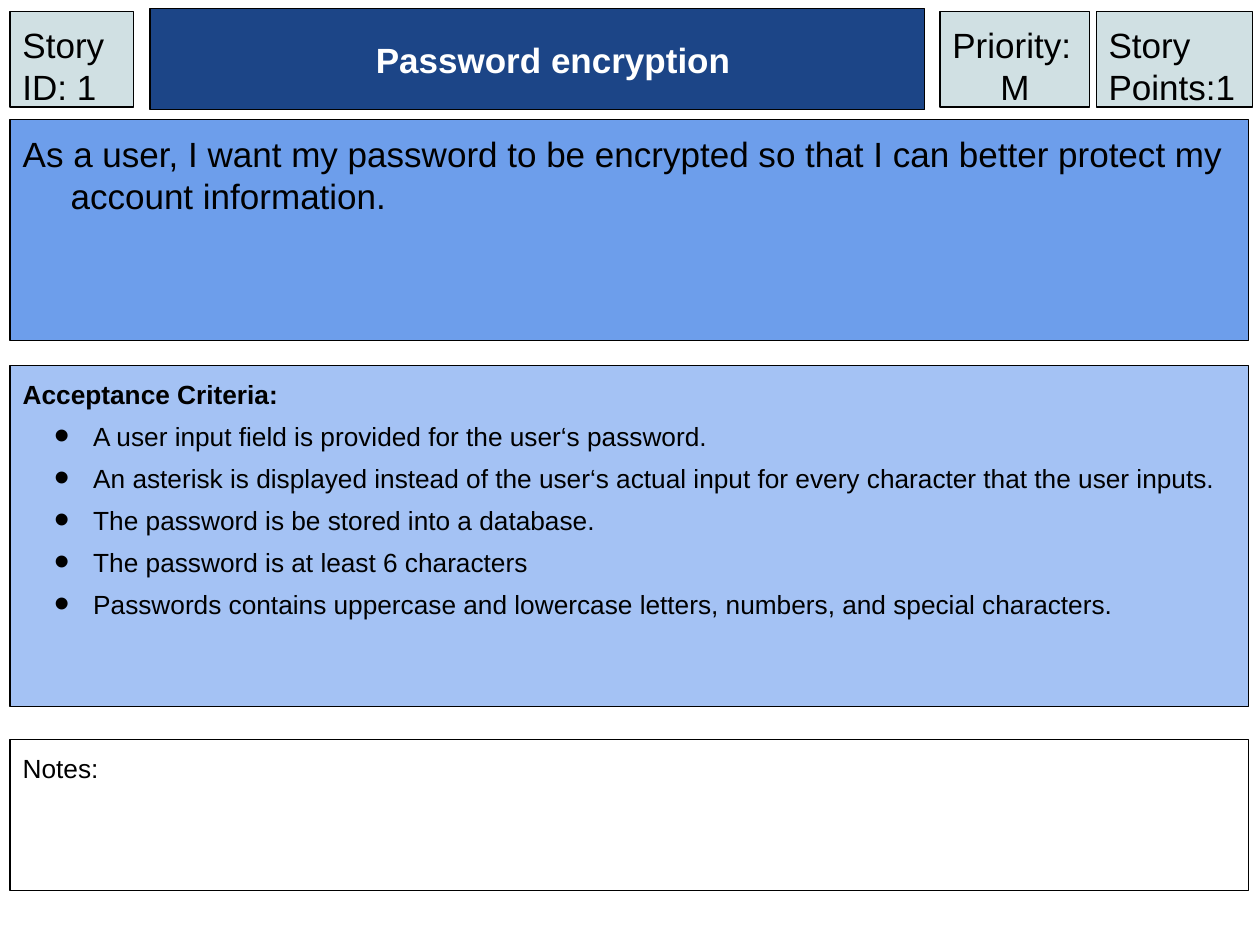
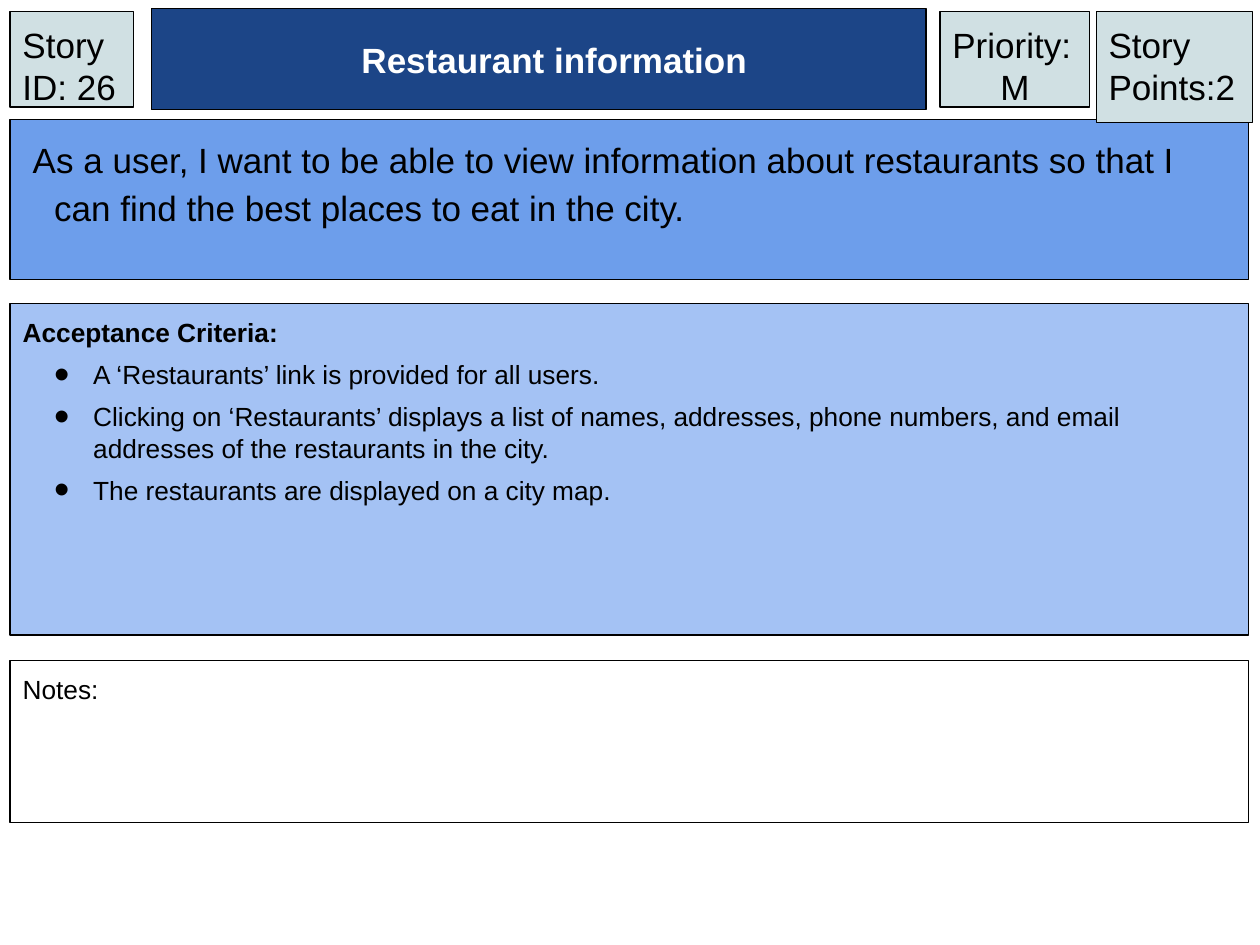
"""Build two user story cards, one per slide."""
import dataclasses

import lxml.etree
import pptx
import pptx.dml.color
import pptx.enum.shapes
import pptx.enum.text
import pptx.oxml.ns
import pptx.util

Inches = pptx.util.Inches
Pt = pptx.util.Pt
RGB = pptx.dml.color.RGBColor.from_string
Align = pptx.enum.text.PP_ALIGN
Anchor = pptx.enum.text.MSO_ANCHOR


@dataclasses.dataclass(frozen=True)
class Theme:
    font: str = "Arial"
    ink: str = "000000"
    white: str = "FFFFFF"
    title: str = "1C4587"
    story: str = "6D9EEB"
    criteria: str = "A4C2F4"
    tag: str = "D0E0E3"
    large: int = 20
    small: int = 15
    line: float = 0.75
    inset: float = 0.1
    gap: int = 6


THEME = Theme()

CARDS = [
    {
        "id": 1,
        "title": "Password encryption",
        "priority": "M",
        "points": 1,
        "story": "As a user, I want my password to be encrypted so that I can "
                 "better protect my account information.",
        "criteria": [
            "A user input field is provided for the user‘s password.",
            "An asterisk is displayed instead of the user‘s actual input for "
            "every character that the user inputs.",
            "The password is be stored into a database.",
            "The password is at least 6 characters",
            "Passwords contains uppercase and lowercase letters, numbers, "
            "and special characters.",
        ],
        "title_left": 1.19,
        "points_height": 0.76,
        "story_indent": (0.38, -0.38),
        "story_spacing": 1.0,
        "bands": [(0.95, 1.75), (2.9, 2.71), (5.87, 1.2)],
    },
    {
        "id": 26,
        "title": "Restaurant information",
        "priority": "M",
        "points": 2,
        "story": "As a user, I want to be able to view information about "
                 "restaurants so that I can find the best places to eat in "
                 "the city.",
        "criteria": [
            "A ‘Restaurants’ link is provided for all users.",
            "Clicking on ‘Restaurants’ displays a list of names, addresses, "
            "phone numbers, and email addresses of the restaurants in the city.",
            "The restaurants are displayed on a city map.",
        ],
        "title_left": 1.2,
        "points_height": 0.88,
        "story_indent": (0.25, -0.17),
        "story_spacing": 1.15,
        "bands": [(0.95, 1.27), (2.41, 2.63), (5.24, 1.29)],
    },
]

LEFT, WIDTH = 0.08, 9.83
TAG_TOP, TAG_HEIGHT = 0.09, 0.76
HEADING_INDENT, BULLET_INDENT = (0.38, -0.38), (0.56, -0.31)


def style_box(sp, box, fill, anchor=Anchor.TOP):
    sp.left, sp.top, sp.width, sp.height = map(Inches, box)
    sp.fill.solid()
    sp.fill.fore_color.rgb = RGB(fill)
    sp.line.color.rgb = RGB(THEME.ink)
    sp.line.width = Pt(THEME.line)
    tf = sp.text_frame
    tf.word_wrap = True
    tf.auto_size = pptx.enum.text.MSO_AUTO_SIZE.NONE
    tf.vertical_anchor = anchor
    tf.margin_left = tf.margin_right = Inches(THEME.inset)
    tf.margin_top = tf.margin_bottom = Inches(THEME.inset)


def set_bullet(p, bulleted):
    ppr = p._p.get_or_add_pPr()

    def add(parent, tag, **attrs):
        return lxml.etree.SubElement(parent, pptx.oxml.ns.qn(tag), **attrs)

    if bulleted:
        add(add(ppr, "a:buClr"), "a:srgbClr", val=THEME.ink)
        add(ppr, "a:buSzPct", val="167000")
        add(ppr, "a:buFont", typeface=THEME.font)
        add(ppr, "a:buChar", char="•")
    else:
        add(ppr, "a:buNone")


def write(sp, lines, size, color=THEME.ink, bold=False, align=Align.LEFT,
          indent=(0, 0), spacing=1.0, bulleted=False):
    tf = sp.text_frame
    for text in lines:
        first = not tf.text
        p = tf.paragraphs[0] if first else tf.add_paragraph()
        p.text = text
        set_bullet(p, bulleted)
        ppr = p._p.get_or_add_pPr()
        ppr.set("marL", str(Inches(indent[0])))
        ppr.set("indent", str(Inches(indent[1])))
        p.alignment = align
        p.line_spacing = spacing
        p.space_before = Pt(0 if first or not bulleted else THEME.gap)
        p.space_after = Pt(0)
        for r in p.runs:
            r.font.name = THEME.font
            r.font.size = Pt(size)
            r.font.bold = bold
            r.font.color.rgb = RGB(color)


def add_tag(s, left, width, text, height=TAG_HEIGHT):
    sp = s.shapes.add_shape(pptx.enum.shapes.MSO_SHAPE.RECTANGLE, 0, 0, 0, 0)
    sp.shadow.inherit = False
    style_box(sp, (left, TAG_TOP, width, height), THEME.tag)
    write(sp, [text], THEME.large)
    return sp


def add_card(prs, card):
    s = prs.slides.add_slide(prs.slide_layouts.get_by_name("Comparison"))
    title = s.shapes.title
    bodies = [sp for sp in s.placeholders if sp.placeholder_format.idx in (1, 2, 3)]
    for sp in list(s.placeholders):
        if sp.placeholder_format.idx > 3:
            sp.element.getparent().remove(sp.element)

    style_box(title, (card["title_left"], 0.07, 6.15, 0.8), THEME.title, Anchor.MIDDLE)
    write(title, [card["title"]], THEME.large, THEME.white, True, Align.CENTER, (0, 0.25))

    fills = (THEME.story, THEME.criteria, THEME.white)
    for sp, (top, height), fill in zip(bodies, card["bands"], fills):
        style_box(sp, (LEFT, top, WIDTH, height), fill)
    story, criteria, notes = bodies
    write(story, [card["story"]], THEME.large, indent=card["story_indent"],
          spacing=card["story_spacing"])
    write(criteria, ["Acceptance Criteria:"], THEME.small, bold=True, indent=HEADING_INDENT)
    write(criteria, card["criteria"], THEME.small, indent=BULLET_INDENT, bulleted=True)
    write(notes, ["Notes:"], THEME.small, indent=HEADING_INDENT)

    add_tag(s, LEFT, 0.98, f"Story ID: {card['id']}")
    priority = add_tag(s, 7.46, 1.19, "Priority:")
    write(priority, [card["priority"]], THEME.large, align=Align.CENTER)
    add_tag(s, 8.7, 1.24, f"Story Points:{card['points']}", card["points_height"])


def main():
    prs = pptx.Presentation()
    prs.slide_width, prs.slide_height = Inches(10), Inches(7.5)
    for card in CARDS:
        add_card(prs, card)
    prs.save("out.pptx")


if __name__ == "__main__":
    main()
